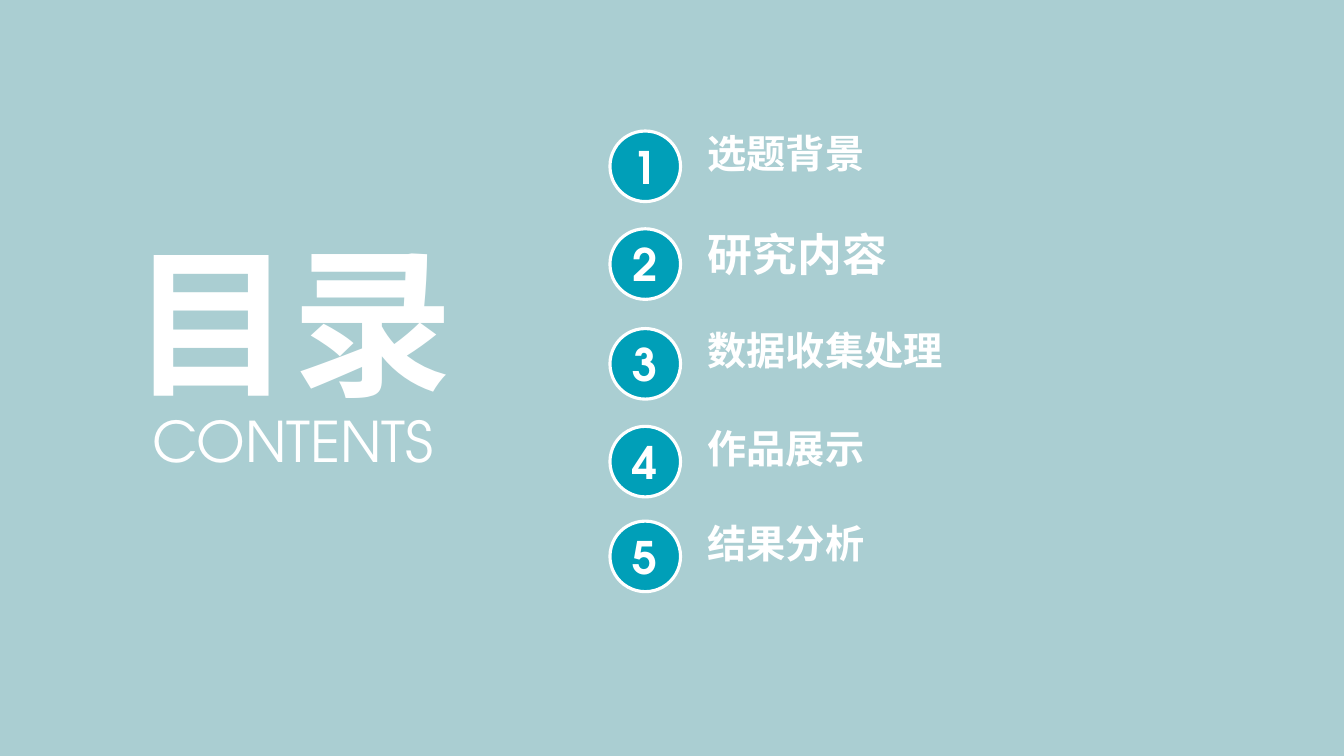
from dataclasses import dataclass

import lxml.etree
import pptx
import pptx.dml.color
import pptx.enum.shapes
import pptx.enum.text
import pptx.oxml.ns
import pptx.shapes.base
import pptx.slide
import pptx.util

Inches = pptx.util.Inches
Align = pptx.enum.text.PP_ALIGN


@dataclass(frozen=True)
class Theme:
    background: str = "AACED2"
    disc: str = "009FB8"
    white: str = "FFFFFF"
    latin_font: str = "TeX Gyre Adventor"
    chinese_font: str = "Noto Sans CJK SC"
    title_size: float = 115
    subtitle_size: float = 40
    number_size: float = 32
    topic_size: float = 28
    large_topic_size: float = 32
    outline: float = 2.25


@dataclass(frozen=True)
class Label:
    text: str
    left: float
    top: float
    width: float
    height: float
    size: float
    font: str
    bold: bool = True
    align: Align = Align.CENTER


@dataclass(frozen=True)
class Topic:
    text: str
    disc_top: float
    width: float = 1.77
    height: float = 0.57
    size: float = Theme.topic_size


THEME = Theme()
DISC_LEFT = 6.05
DISC_SIZE = 0.7
TOPIC_LEFT = 6.92
TOPIC_RISE = 0.07

HEADINGS = [
    Label("CONTENTS", 1.39, 3.98, 3.03, 0.77, THEME.subtitle_size, THEME.latin_font, bold=False),
    Label("目录", 1.19, 2.16, 3.43, 2.04, THEME.title_size, THEME.chinese_font),
]
TOPICS = [
    Topic("选题背景", 1.3),
    Topic("研究内容", 2.27, 2, 0.64, THEME.large_topic_size),
    Topic("数据收集处理", 3.26, 2.56),
    Topic("作品展示", 4.23),
    Topic("结果分析", 5.17),
]


def color(value: str) -> pptx.dml.color.RGBColor:
    return pptx.dml.color.RGBColor.from_string(value)


def write(shape: pptx.shapes.base.BaseShape, text: str, size: float,
          font: str, bold: bool, align: Align) -> None:
    shape.text_frame.text = text
    para = shape.text_frame.paragraphs[0]
    para.alignment = align
    span = para.runs[0]
    span.font.size = pptx.util.Pt(size)
    span.font.bold = bold
    span.font.color.rgb = color(THEME.white)
    span.font.name = font
    east_asian = lxml.etree.SubElement(span.font._element, pptx.oxml.ns.qn("a:ea"))
    east_asian.set("typeface", THEME.chinese_font)


def add_label(page: pptx.slide.Slide, label: Label) -> None:
    box = page.shapes.add_textbox(Inches(label.left), Inches(label.top),
                                  Inches(label.width), Inches(label.height))
    box.text_frame.word_wrap = False
    box.text_frame.auto_size = pptx.enum.text.MSO_AUTO_SIZE.SHAPE_TO_FIT_TEXT
    write(box, label.text, label.size, label.font, label.bold, label.align)


def add_topic(page: pptx.slide.Slide, number: int, topic: Topic) -> None:
    add_label(page, Label(topic.text, TOPIC_LEFT, topic.disc_top - TOPIC_RISE, topic.width,
                          topic.height, topic.size, THEME.latin_font, align=Align.LEFT))
    disc = page.shapes.add_shape(pptx.enum.shapes.MSO_SHAPE.OVAL,
                                 Inches(DISC_LEFT), Inches(topic.disc_top),
                                 Inches(DISC_SIZE), Inches(DISC_SIZE))
    disc.shadow.inherit = False
    disc.fill.solid()
    disc.fill.fore_color.rgb = color(THEME.disc)
    disc.line.color.rgb = color(THEME.white)
    disc.line.width = pptx.util.Pt(THEME.outline)
    disc.text_frame.vertical_anchor = pptx.enum.text.MSO_ANCHOR.MIDDLE
    write(disc, str(number), THEME.number_size, THEME.latin_font, True, Align.CENTER)


def main() -> None:
    deck = pptx.Presentation()
    deck.slide_width = Inches(13.33)
    deck.slide_height = Inches(7.5)
    page = deck.slides.add_slide(deck.slide_layouts[6])
    page.background.fill.solid()
    page.background.fill.fore_color.rgb = color(THEME.background)
    for heading in HEADINGS:
        add_label(page, heading)
    for number, topic in enumerate(TOPICS, start=1):
        add_topic(page, number, topic)
    deck.save("out.pptx")


if __name__ == "__main__":
    main()
